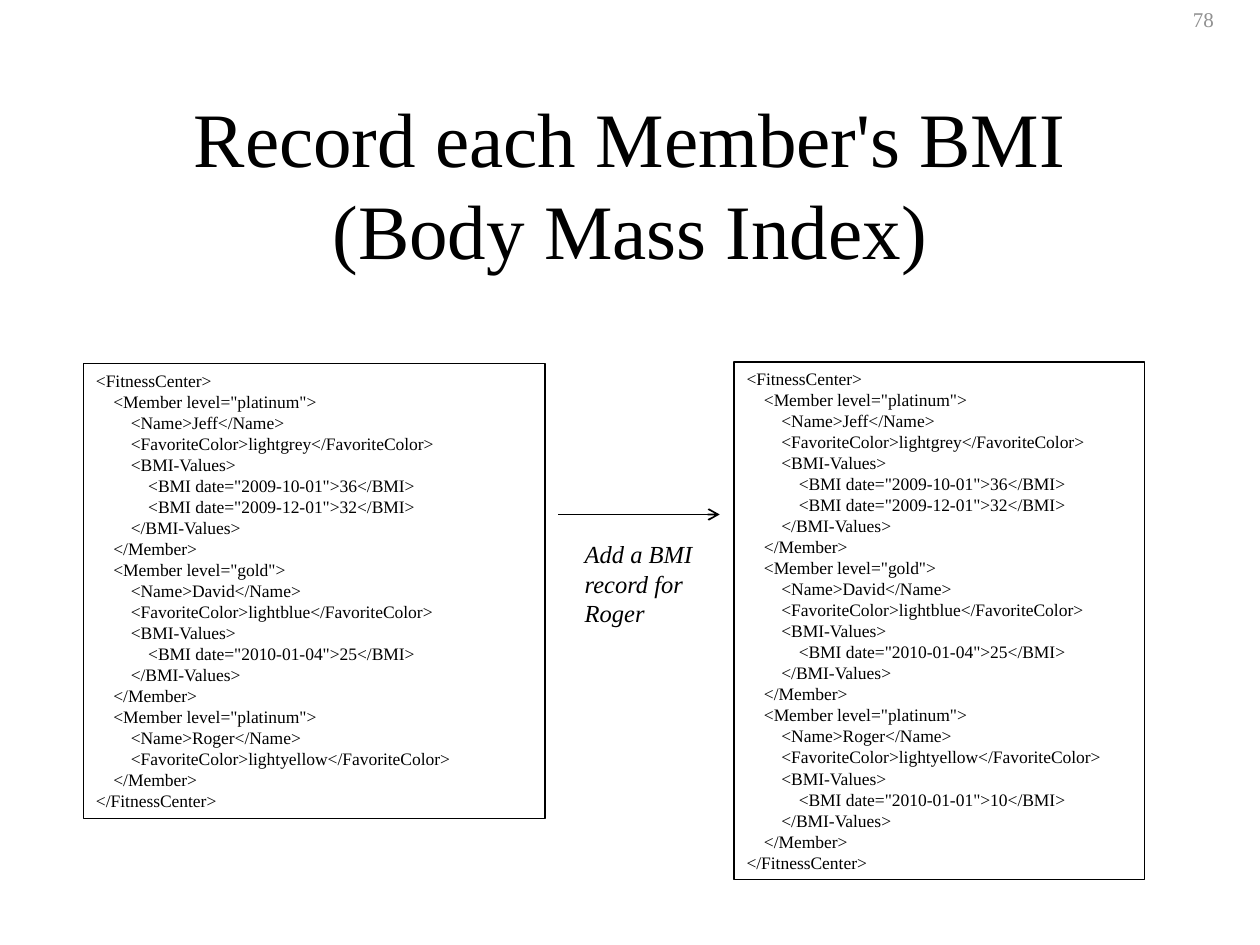
from lxml import etree
from pptx import Presentation
from pptx import util as u
from pptx.dml.color import RGBColor
from pptx.enum import shapes, text
from pptx.oxml import ns

BLACK = RGBColor(0x00, 0x00, 0x00)
WHITE = RGBColor(0xFF, 0xFF, 0xFF)
GREY = RGBColor(0x91, 0x91, 0x91)
FONT = "Times New Roman"

MEMBERS_START = """<FitnessCenter>
    <Member level="platinum">
        <Name>Jeff</Name>
        <FavoriteColor>lightgrey</FavoriteColor>
        <BMI-Values>
            <BMI date="2009-10-01">36</BMI>
            <BMI date="2009-12-01">32</BMI>
        </BMI-Values>
    </Member>
    <Member level="gold">
        <Name>David</Name>
        <FavoriteColor>lightblue</FavoriteColor>
        <BMI-Values>
            <BMI date="2010-01-04">25</BMI>
        </BMI-Values>
    </Member>
    <Member level="platinum">
        <Name>Roger</Name>
        <FavoriteColor>lightyellow</FavoriteColor>
"""
ROGER_BMI = """        <BMI-Values>
            <BMI date="2010-01-01">10</BMI>
        </BMI-Values>
"""
MEMBERS_END = """    </Member>
</FitnessCenter>"""


def write_text(shape, content, size, color=BLACK, italic=False,
               align=text.PP_ALIGN.LEFT):
    frame = shape.text_frame
    frame.word_wrap = True
    frame.auto_size = text.MSO_AUTO_SIZE.NONE
    frame.vertical_anchor = text.MSO_ANCHOR.TOP
    frame.text = content
    for paragraph in frame.paragraphs:
        paragraph.alignment = align
        for run in paragraph.runs:
            run.font.name = FONT
            run.font.size = u.Pt(size)
            run.font.italic = italic
            run.font.color.rgb = color


def add_label(slide, bounds, content, size, **text_format):
    box = slide.shapes.add_textbox(*map(u.Pt, bounds))
    write_text(box, content, size, **text_format)


def add_code_box(slide, bounds, code):
    shape = slide.shapes.add_shape(shapes.MSO_SHAPE.RECTANGLE, *map(u.Pt, bounds))
    shape.shadow.inherit = False
    shape.fill.solid()
    shape.fill.fore_color.rgb = WHITE
    shape.line.color.rgb = BLACK
    shape.line.width = u.Pt(1)
    write_text(shape, code, 10)


def add_arrow(slide, *ends):
    connector = slide.shapes.add_connector(
        shapes.MSO_CONNECTOR.STRAIGHT, *map(u.Pt, ends))
    connector.line.color.rgb = BLACK
    connector.line.width = u.Pt(1)
    outline = connector.line._get_or_add_ln()
    etree.SubElement(outline, ns.qn("a:tailEnd"), type="arrow")
    etree.SubElement(connector._element.spPr, ns.qn("a:effectLst"))


def main():
    presentation = Presentation()
    presentation.slide_width = u.Pt(720)
    presentation.slide_height = u.Pt(540)
    slide = presentation.slides.add_slide(presentation.slide_layouts[6])

    add_label(slide, (674.6, 0, 64.8, 21.6), "78", 12, color=GREY)
    add_label(slide, (54, 48.2, 612, 90),
              "Record each Member's BMI\n(Body Mass Index)", 44,
              align=text.PP_ALIGN.CENTER)
    add_code_box(slide, (47.8, 207.8, 263.5, 260), MEMBERS_START + MEMBERS_END)
    add_code_box(slide, (419.5, 206.7, 234.5, 296),
                 MEMBERS_START + ROGER_BMI + MEMBERS_END)
    add_arrow(slide, 319, 294, 411.3, 294)
    add_label(slide, (327, 304.6, 82.8, 57.6),
              "Add a BMI record for Roger", 14, italic=True)

    presentation.save("out.pptx")


if __name__ == "__main__":
    main()
